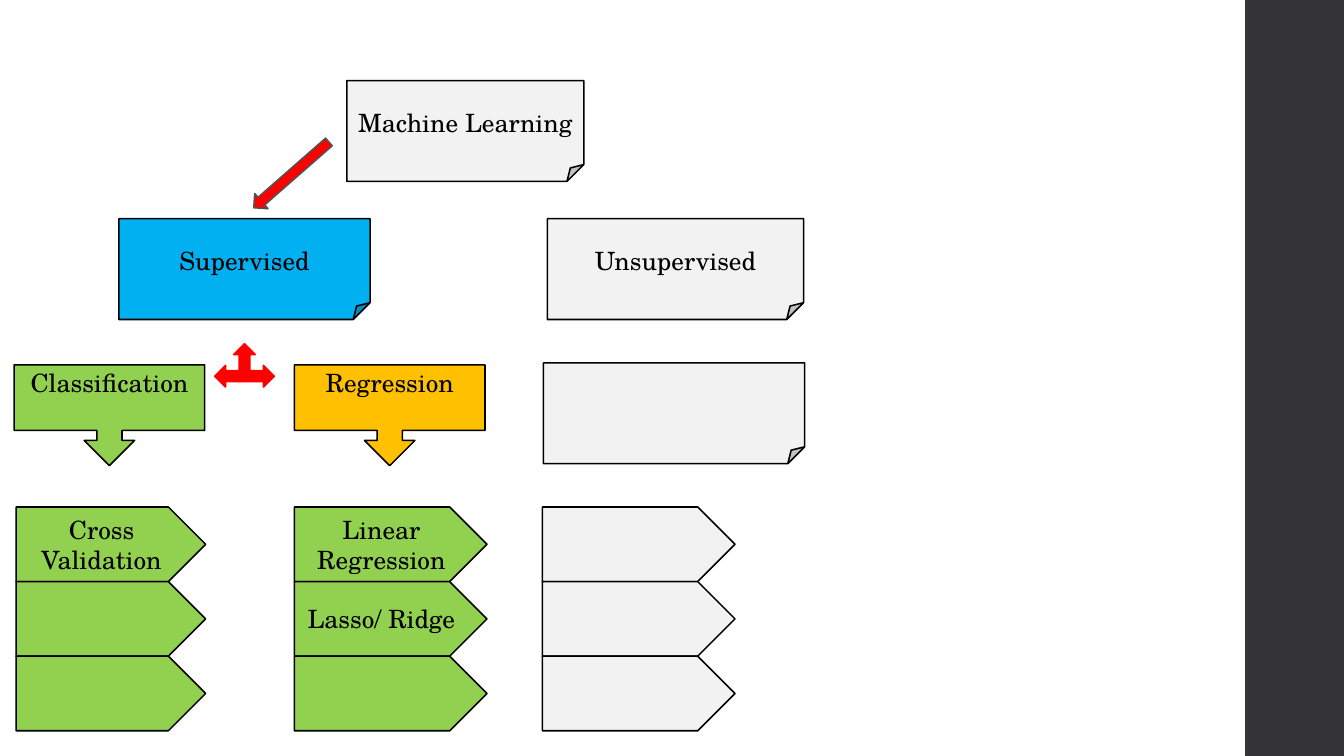
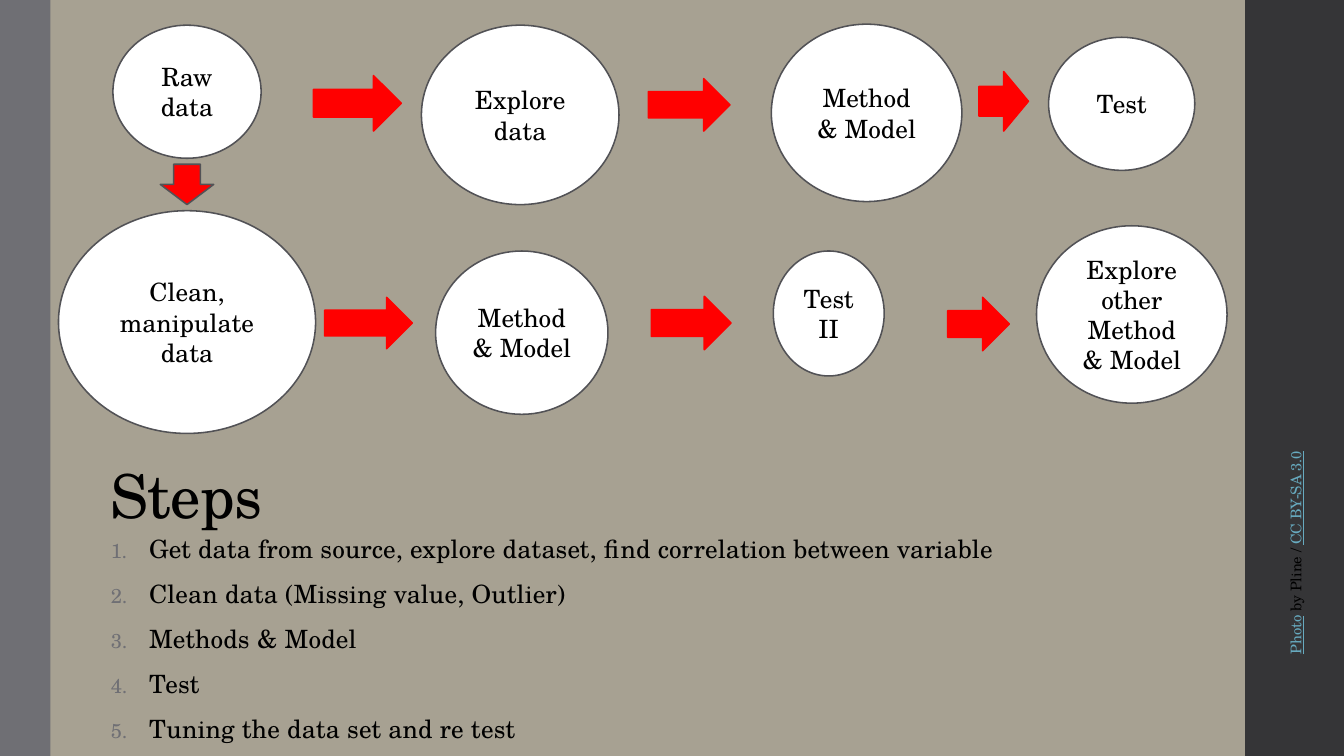
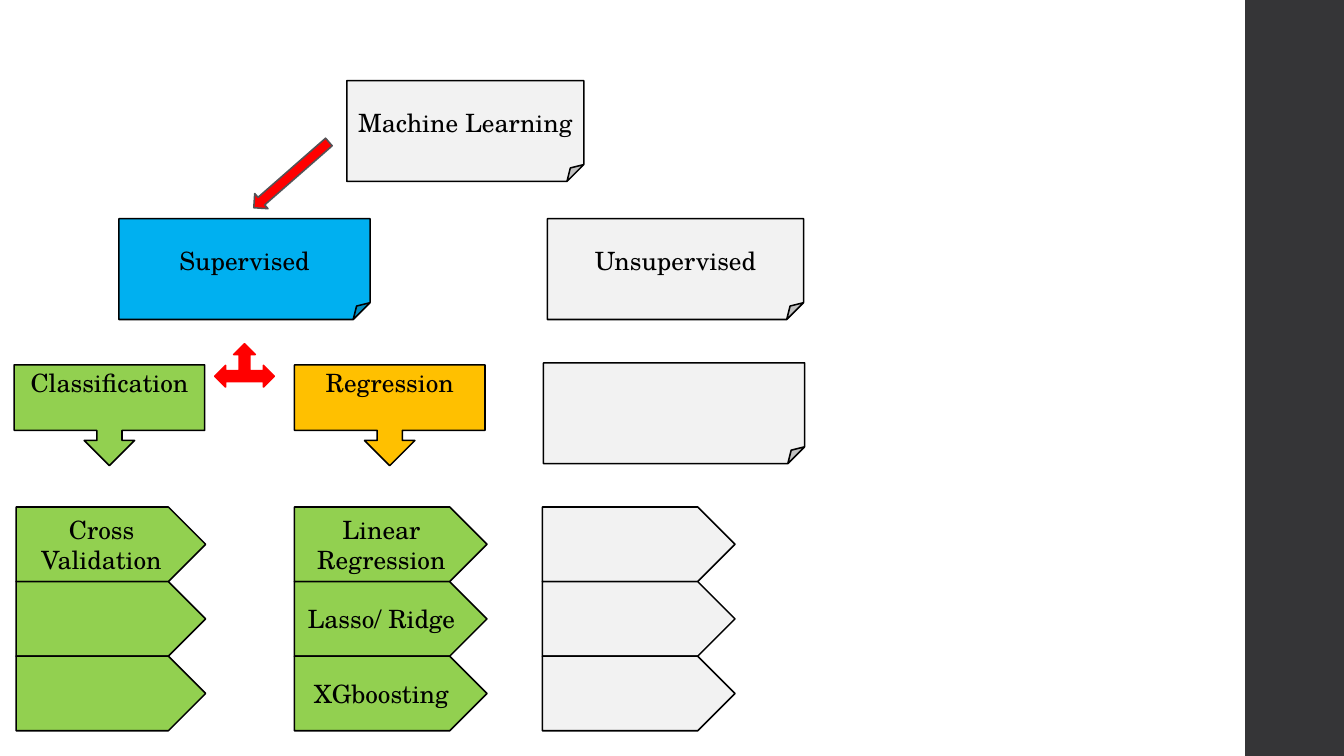
from dataclasses import dataclass

from lxml.etree import SubElement
from pptx import Presentation
from pptx.dml.color import RGBColor
from pptx.enum.shapes import MSO_SHAPE as Shape
from pptx.enum.text import MSO_ANCHOR as Anchor, PP_ALIGN as Align
from pptx.oxml.ns import qn
from pptx.util import Inches, Pt


@dataclass(frozen=True)
class Theme:
    font: str = "TeX Gyre Schola"
    text: str = "000000"
    white: str = "FFFFFF"
    sand: str = "A7A192"
    band: str = "353537"
    gray: str = "6F6F74"
    outline: str = "525256"
    pale: str = "F2F2F2"
    green: str = "92D050"
    blue: str = "00B0F0"
    amber: str = "FFC000"
    red: str = "FF0000"
    link: str = "67AABF"
    title_size: float = 43.2
    body_size: float = 18
    credit_size: float = 10.5
    line_width: float = 1.1


class Deck:
    def __init__(self, theme):
        self.theme = theme
        self.presentation = Presentation()
        self.presentation.slide_width = Inches(13.33)
        self.presentation.slide_height = Inches(7.5)
        self.slide = None

    def new_slide(self, background):
        self.slide = self.presentation.slides.add_slide(self.presentation.slide_layouts[6])
        fill = self.slide.background.fill
        fill.solid()
        fill.fore_color.rgb = RGBColor.from_string(background)
        self.shape(Shape.RECTANGLE, (12.35, 0, 0.98, 7.5), self.theme.band)

    def format_run(self, run, size, color=None, spacing=0):
        run.font.name = self.theme.font
        run.font.size = Pt(size)
        run.font.color.rgb = RGBColor.from_string(color or self.theme.text)
        if spacing:
            run.font._element.set("spc", str(round(spacing * 100)))

    def shape(self, kind, box, fill, line=None, label="", rotation=0):
        shape = self.slide.shapes.add_shape(kind, *map(Inches, box))
        shape.shadow.inherit = False
        shape.rotation = rotation
        shape.fill.solid()
        shape.fill.fore_color.rgb = RGBColor.from_string(fill)
        if line:
            shape.line.color.rgb = RGBColor.from_string(line)
            shape.line.width = Pt(self.theme.line_width)
        else:
            shape.line.fill.background()
        if label:
            frame = shape.text_frame
            frame.text = label
            frame.word_wrap = True
            frame.vertical_anchor = Anchor.MIDDLE
            paragraph = frame.paragraphs[0]
            paragraph.alignment = Align.CENTER
            self.format_run(paragraph.runs[0], self.theme.body_size)
        return shape

    def node(self, kind, box, fill, label=""):
        return self.shape(kind, box, fill, self.theme.text, label)

    def callout(self, box, fill, label):
        frame = self.node(Shape.DOWN_ARROW_CALLOUT, box, fill, label).text_frame
        frame.vertical_anchor = Anchor.TOP
        frame.margin_top = Inches(0.02)

    def circle(self, box, label):
        self.shape(Shape.OVAL, box, self.theme.white, self.theme.outline, label)

    def arrow(self, kind, box, line=None, rotation=0):
        self.shape(kind, box, self.theme.red, line or self.theme.red, rotation=rotation)

    def text_box(self, box, anchor):
        text_box = self.slide.shapes.add_textbox(*map(Inches, box))
        text_box.text_frame.word_wrap = True
        text_box.text_frame.vertical_anchor = anchor
        return text_box

    def title(self, box, text):
        frame = self.text_box(box, Anchor.BOTTOM).text_frame
        frame.text = text
        paragraph = frame.paragraphs[0]
        paragraph.line_spacing = 0.85
        self.format_run(paragraph.runs[0], self.theme.title_size, spacing=-0.5)

    def numbered_list(self, box, items):
        frame = self.text_box(box, Anchor.TOP).text_frame
        frame.text = "\n".join(items)
        for paragraph in frame.paragraphs:
            paragraph.line_spacing = 0.75
            paragraph.space_before = Pt(14)
            paragraph.space_after = Pt(2)
            self.format_run(paragraph.runs[0], self.theme.body_size, spacing=0.1)
            self.number(paragraph)

    def number(self, paragraph):
        properties = paragraph._p.get_or_add_pPr()
        indent = Inches(0.38)
        properties.set("marL", str(indent))
        properties.set("indent", str(-indent))
        color = SubElement(properties, qn("a:buClr"))
        SubElement(color, qn("a:srgbClr"), val=self.theme.gray)
        SubElement(properties, qn("a:buSzPct"), val="80000")
        SubElement(properties, qn("a:buFont"), typeface=self.theme.font)
        SubElement(properties, qn("a:buAutoNum"), type="arabicPeriod")

    def credit(self, box, parts):
        text_box = self.text_box(box, Anchor.MIDDLE)
        text_box.rotation = 270
        paragraph = text_box.text_frame.paragraphs[0]
        paragraph.space_after = Pt(6)
        for text, underlined in parts:
            run = paragraph.add_run()
            run.text = text
            color = self.theme.link if underlined else self.theme.text
            self.format_run(run, self.theme.credit_size, color)
            run.font.underline = underlined


def add_learning_map(deck, third_method=""):
    theme = deck.theme
    deck.new_slide(theme.white)
    for box, fill, label in (
        ((3.44, 0.8, 2.35, 1), theme.pale, "Machine Learning"),
        ((1.18, 2.17, 2.49, 1), theme.blue, "Supervised"),
        ((5.43, 2.17, 2.54, 1), theme.pale, "Unsupervised"),
        ((5.39, 3.6, 2.59, 1), theme.pale, ""),
    ):
        deck.node(Shape.FOLDED_CORNER, box, fill, label)

    deck.callout((0.14, 3.62, 1.89, 1), theme.green, "Classification")
    deck.callout((2.92, 3.62, 1.89, 1), theme.amber, "Regression")

    top, row_height = 5.03, 0.74
    for left, width, fill, labels in (
        (0.16, 1.88, theme.green, ("Cross Validation", "", "")),
        (2.92, 1.91, theme.green, ("Linear Regression", "Lasso/ Ridge", third_method)),
        (5.38, 1.91, theme.pale, ("", "", "")),
    ):
        for row, label in enumerate(labels):
            box = (left, top + row * row_height, width, row_height)
            deck.node(Shape.PENTAGON, box, fill, label)

    deck.arrow(Shape.LEFT_RIGHT_UP_ARROW, (2.13, 3.41, 0.59, 0.43))
    deck.arrow(Shape.DOWN_ARROW, (2.79, 1.24, 0.2, 0.99), theme.outline, 48.8)


def add_steps(deck):
    theme = deck.theme
    deck.new_slide(theme.sand)
    deck.shape(Shape.RECTANGLE, (0, 0, 0.5, 7.5), theme.gray)
    deck.title((1, 4.65, 10.69, 0.67), "Steps")
    deck.numbered_list((1, 5.31, 10.69, 1.97), (
        "Get data from source, explore dataset, find correlation between variable",
        "Clean data (Missing value, Outlier)",
        "Methods & Model",
        "Test",
        "Tuning the data set and re test",
    ))
    deck.credit((10.89, 4.43, 3.92, 0.4), (
        ("Photo", True), (" by Pline / ", False), ("CC BY-SA 3.0", True),
    ))
    for box, label in (
        ((1.12, 0.25, 1.47, 1.32), "Raw data"),
        ((4.18, 0.25, 1.96, 1.78), "Explore data"),
        ((7.65, 0.24, 1.89, 1.76), "Method & Model"),
        ((10.4, 0.37, 1.45, 1.32), "Test"),
        ((0.58, 2.09, 2.55, 2.21), "Clean, manipulate data"),
        ((4.32, 2.49, 1.71, 1.62), "Method & Model"),
        ((7.67, 2.49, 1.1, 1.24), "Test II"),
        ((10.28, 2.24, 1.89, 1.76), "Explore other Method & Model"),
    ):
        deck.circle(box, label)
    for box in (
        (3.11, 0.75, 0.87, 0.55),
        (6.43, 0.78, 0.81, 0.52),
        (9.71, 0.71, 0.49, 0.59),
        (3.22, 2.95, 0.87, 0.51),
        (6.46, 2.94, 0.79, 0.53),
        (9.4, 2.95, 0.61, 0.53),
    ):
        deck.arrow(Shape.RIGHT_ARROW, box)
    deck.arrow(Shape.DOWN_ARROW, (1.59, 1.63, 0.53, 0.4), theme.outline)


def main():
    deck = Deck(Theme())
    add_learning_map(deck)
    add_steps(deck)
    add_learning_map(deck, "XGboosting")
    deck.presentation.save("out.pptx")


if __name__ == "__main__":
    main()
